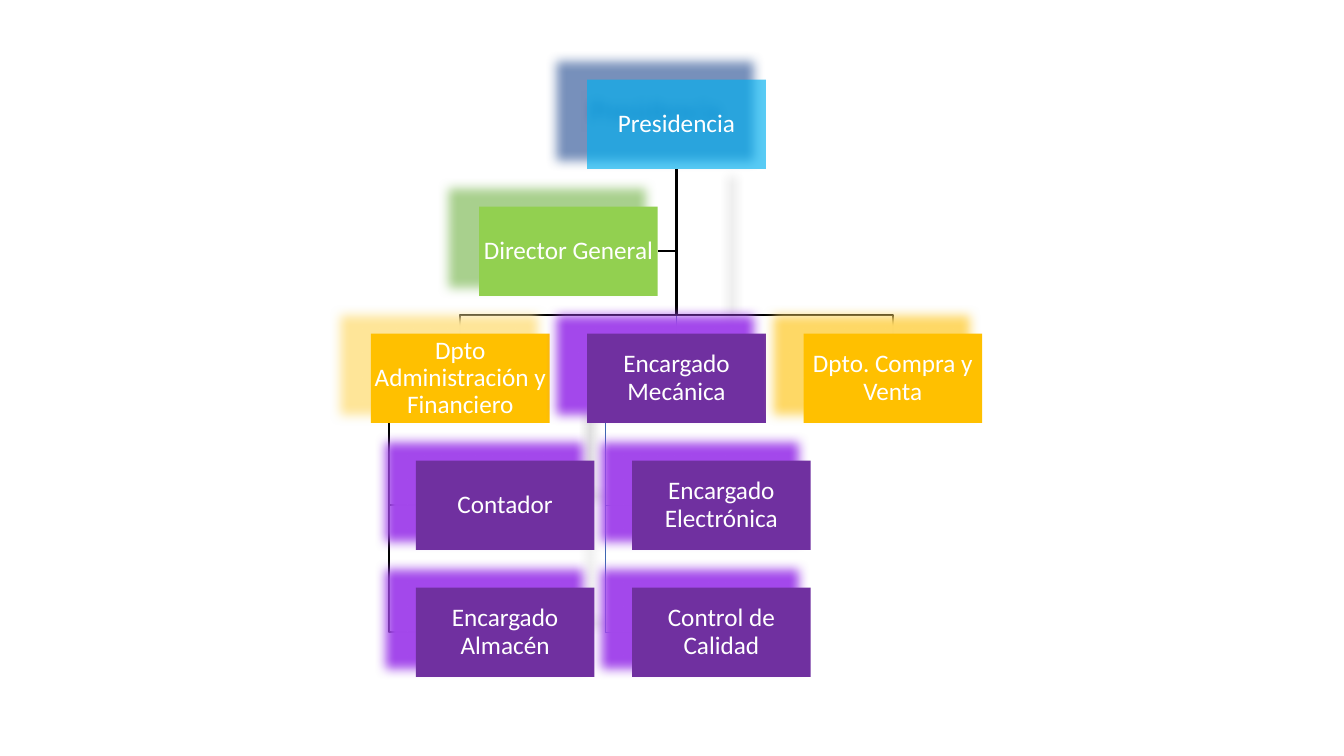
from lxml.etree import SubElement
from pptx import Presentation
from pptx.dml.color import RGBColor
from pptx.enum.shapes import MSO_CONNECTOR as CONN, MSO_SHAPE as SHAPE
from pptx.enum.text import MSO_ANCHOR as ANCHOR, PP_ALIGN as ALIGN
from pptx.oxml.ns import qn
from pptx.util import Cm, Pt

COLORS = {
    "black": "000000", "white": "FFFFFF", "sky": "00B0F0", "navy": "2F5597",
    "green": "92D050", "sage": "A9D18E", "gold": "FFC000", "cream": "FFE699",
    "sand": "FFD966", "purple": "7030A0", "violet": "A449EC",
    "blue": "3E67B2", "deep blue": "365B9D",
}

# Grid of the chart, in cm
BOX_W, BOX_H = 4.5, 2.25
LEFT, TOP = 9.35, 2.01
COL_STEP, ROW_STEP = 5.45, 3.2
INDENT = 1.13      # shift of the boxes below a department
TRUNK = 0.45       # trunk line, from the left edge of a department
BUS_GAP = 0.48     # horizontal line, above the departments


def box_left(col):
    return LEFT + col * COL_STEP


def box_top(row):
    return TOP + row * ROW_STEP


class OrgChart:
    def __init__(self, slide, font="Calibri", size=18):
        self.slide, self.font, self.size = slide, font, size

    def color(self, name):
        return RGBColor.from_string(COLORS[name])

    def shadow(self, s, name=None):
        """Give a soft enlarged shadow to the upper left, or none without a name."""
        effects = SubElement(s._element.spPr, qn("a:effectLst"))
        if name:
            outer = SubElement(
                effects, qn("a:outerShdw"), blurRad=str(Pt(8)), dist=str(Pt(11)),
                dir=str(216 * 60000), sx="110000", sy="110000",
                algn="br", rotWithShape="0")
            SubElement(outer, qn("a:srgbClr"), val=COLORS[name])

    def style_line(self, s, color, width, shadow):
        s.line.color.rgb = self.color(color)
        s.line.width = Pt(width)
        self.shadow(s, shadow)

    def elbow(self, points, color="black", width=1.5, shadow=None):
        points = [(Cm(x), Cm(y)) for x, y in points]
        outline = self.slide.shapes.build_freeform(*points[0], scale=1.0)
        outline.add_line_segments(points[1:], close=False)
        s = outline.convert_to_shape()
        s.fill.background()
        self.style_line(s, color, width, shadow)

    def straight(self, start, end, color, width, shadow):
        s = self.slide.shapes.add_connector(
            CONN.STRAIGHT, *[Cm(v) for v in start + end])
        self.style_line(s, color, width, shadow)

    def box(self, text, col, row, fill, shadow, indent=0, alpha=None):
        s = self.slide.shapes.add_shape(
            SHAPE.RECTANGLE, Cm(box_left(col) + indent), Cm(box_top(row)),
            Cm(BOX_W), Cm(BOX_H))
        s.fill.solid()
        s.fill.fore_color.rgb = self.color(fill)
        if alpha:
            rgb = s._element.spPr.find(qn("a:solidFill")).find(qn("a:srgbClr"))
            SubElement(rgb, qn("a:alpha"), val=str(alpha * 1000))
        s.line.fill.background()
        self.shadow(s, shadow)
        self.label(s.text_frame, text)

    def label(self, tf, text):
        tf.word_wrap = True
        tf.vertical_anchor = ANCHOR.MIDDLE
        tf.margin_left = tf.margin_right = Cm(0.03)
        tf.margin_top = tf.margin_bottom = Cm(0.03)
        p = tf.paragraphs[0]
        p.alignment = ALIGN.CENTER
        p.line_spacing = 0.9
        r = p.add_run()
        r.text = text
        r.font.name = self.font
        r.font.size = Pt(self.size)
        r.font.color.rgb = self.color("white")


def draw_lines(chart):
    center = box_left(1) + BOX_W / 2
    head_bottom = box_top(0) + BOX_H
    dept_top = box_top(2)
    bus = dept_top - BUS_GAP
    director_mid = box_top(1) + BOX_H / 2

    def bus_line(col):
        x = box_left(col) + BOX_W / 2
        chart.elbow([(center, head_bottom), (center, bus), (x, bus), (x, dept_top)])

    def branches(col, **style):
        x = box_left(col) + TRUNK
        for row in (4, 3):
            y = box_top(row) + BOX_H / 2
            chart.elbow([(x, dept_top + BOX_H), (x, y),
                         (box_left(col) + INDENT, y)], **style)

    chart.elbow([(center, head_bottom), (center, director_mid),
                 (box_left(0.5) + BOX_W, director_mid)])
    bus_line(2)
    branches(1, color="blue", width=0.5, shadow="black")
    chart.straight((center, head_bottom), (center, dept_top), "deep blue", 0.5, "black")
    branches(0)
    bus_line(0)


def draw_boxes(chart):
    chart.box("Presidencia", 1, 0, "sky", "navy", alpha=65)
    chart.box("Dpto Administración y Financiero", 0, 2, "gold", "cream")
    staff = [
        ("Contador", 0, 3, INDENT), ("Encargado Almacén", 0, 4, INDENT),
        ("Encargado Mecánica", 1, 2, 0),
        ("Encargado Electrónica", 1, 3, INDENT), ("Control de Calidad", 1, 4, INDENT),
    ]
    for text, col, row, indent in staff:
        chart.box(text, col, row, "purple", "violet", indent)
    chart.box("Dpto. Compra y Venta", 2, 2, "gold", "sand")
    chart.box("Director General", 0.5, 1, "green", "sage")


def main():
    prs = Presentation()
    prs.slide_width, prs.slide_height = Cm(33.87), Cm(19.05)
    chart = OrgChart(prs.slides.add_slide(prs.slide_layouts[6]))
    draw_lines(chart)
    draw_boxes(chart)
    prs.save("out.pptx")


if __name__ == "__main__":
    main()
